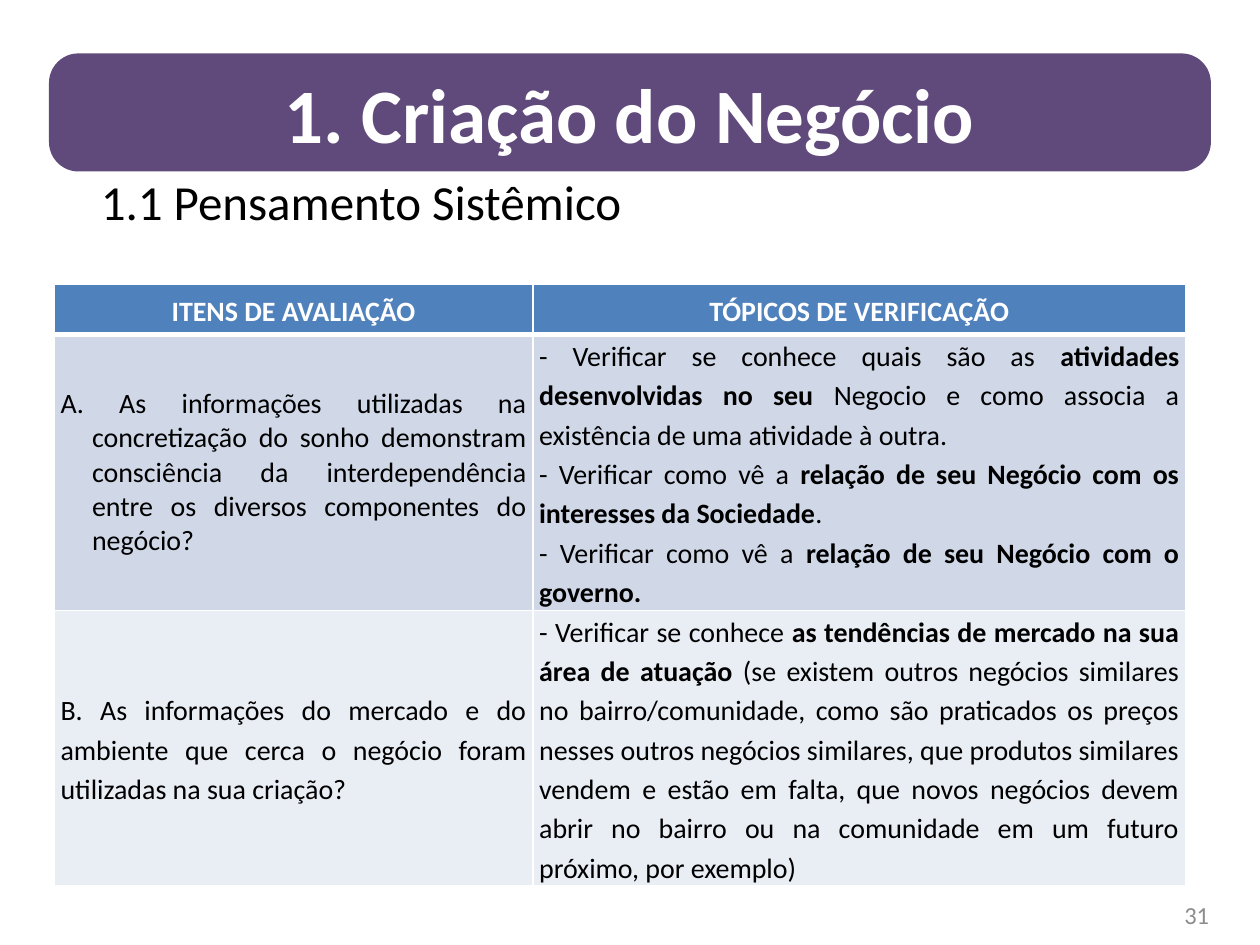
"""Builds the slide on business creation with its evaluation table."""
from pptx import Presentation
from pptx.dml.color import RGBColor
from pptx.enum.shapes import MSO_SHAPE
from pptx.enum.text import MSO_ANCHOR, PP_ALIGN
from pptx.oxml.ns import qn
from pptx.util import Pt
from lxml.etree import SubElement

FONT = "Calibri"
WHITE = RGBColor(0xFF, 0xFF, 0xFF)
BLACK = RGBColor(0x00, 0x00, 0x00)
GRAY = RGBColor(0x8C, 0x8C, 0x8C)
PURPLE = RGBColor(0x60, 0x4A, 0x7B)
BLUE = RGBColor(0x4F, 0x81, 0xBD)
LIGHT_BLUE = RGBColor(0xD0, 0xD8, 0xE8)
PALE_BLUE = RGBColor(0xE9, 0xED, 0xF4)

BANNER = "1. Criação do Negócio"
SUBTITLE = "1.1 Pensamento Sistêmico"
PAGE_NUMBER = "31"

HEADERS = ["ITENS DE AVALIAÇÃO", "TÓPICOS DE VERIFICAÇÃO"]
ITEM_A = (
    "A. As informações utilizadas na concretização do sonho demonstram "
    "consciência da interdependência entre os diversos componentes do negócio?"
)
ITEM_B = (
    "B. As informações do mercado e do ambiente que cerca o negócio foram "
    "utilizadas na sua criação?"
)
TOPICS_A = [
    [
        ("- Verificar se conhece quais são as ", False),
        ("atividades desenvolvidas no seu ", True),
        ("Negocio e como associa a existência de uma atividade à outra.", False),
    ],
    [
        ("- Verificar como vê a ", False),
        ("relação de seu Negócio com os interesses da Sociedade", True),
        (".", False),
    ],
    [
        ("- Verificar como vê a ", False),
        ("relação de seu Negócio com o governo.", True),
    ],
]
TOPICS_B = [
    [
        ("- Verificar se conhece ", False),
        ("as tendências de mercado na sua área de atuação ", True),
        (
            "(se existem outros negócios similares no bairro/comunidade, como são "
            "praticados os preços nesses outros negócios similares, que produtos "
            "similares vendem e estão em falta, que novos negócios devem abrir no "
            "bairro ou na comunidade em um futuro próximo, por exemplo)",
            False,
        ),
    ],
]
ROWS = [
    (BLUE, WHITE, PP_ALIGN.CENTER, [[[(header, True)]] for header in HEADERS]),
    (LIGHT_BLUE, BLACK, PP_ALIGN.JUSTIFY, [[[(ITEM_A, False)]], TOPICS_A]),
    (PALE_BLUE, BLACK, PP_ALIGN.JUSTIFY, [[[(ITEM_B, False)]], TOPICS_B]),
]
COLUMN_WIDTHS = [273.5, 373]
ROW_HEIGHTS = [29, 157.5, 157.5]


def add_run(paragraph, text, size, color, bold=False):
    run = paragraph.add_run()
    run.text = text
    run.font.name = FONT
    run.font.size = Pt(size)
    run.font.bold = bold
    run.font.color.rgb = color


def add_label(slide, box, text, size, color, alignment, anchor):
    frame = slide.shapes.add_textbox(*map(Pt, box)).text_frame
    frame.word_wrap = True
    frame.vertical_anchor = anchor
    frame.paragraphs[0].alignment = alignment
    add_run(frame.paragraphs[0], text, size, color)


def add_banner(slide):
    shape = slide.shapes.add_shape(
        MSO_SHAPE.ROUNDED_RECTANGLE, Pt(28), Pt(30.5), Pt(664), Pt(67.5)
    )
    shape.adjustments[0] = 0.25
    shape.shadow.inherit = False
    shape.fill.solid()
    shape.fill.fore_color.rgb = PURPLE
    shape.line.fill.background()
    shape.text_frame.word_wrap = True
    shape.text_frame.vertical_anchor = MSO_ANCHOR.MIDDLE
    paragraph = shape.text_frame.paragraphs[0]
    paragraph.alignment = PP_ALIGN.CENTER
    add_run(paragraph, BANNER, 44, WHITE, True)


def set_borders(cell, widths):
    properties = cell._tc.get_or_add_tcPr()
    for side, width in zip("LRTB", widths):
        line = SubElement(properties, qn(f"a:ln{side}"), w=str(Pt(width)))
        fill = SubElement(line, qn("a:solidFill"))
        SubElement(fill, qn("a:srgbClr"), val=str(WHITE))


def set_hanging_indent(paragraph):
    properties = paragraph._p.get_or_add_pPr()
    properties.set("marL", str(Pt(18)))
    properties.set("indent", str(Pt(-18)))
    tabs = SubElement(properties, qn("a:tabLst"))
    for position in (18, 35.5):
        SubElement(tabs, qn("a:tab"), pos=str(Pt(position)), algn="l")


def fill_cell(cell, paragraphs, color, alignment):
    cell.vertical_anchor = MSO_ANCHOR.MIDDLE
    cell.margin_left = cell.margin_right = Pt(3.6)
    cell.margin_top = cell.margin_bottom = 0
    frame = cell.text_frame
    for index, runs in enumerate(paragraphs):
        paragraph = frame.add_paragraph() if index else frame.paragraphs[0]
        paragraph.alignment = alignment
        if runs[0][0] == ITEM_A:
            set_hanging_indent(paragraph)
        else:
            paragraph.line_spacing = 1.15
        for text, bold in runs:
            add_run(paragraph, text, 16, color, bold)


def add_evaluation_table(slide):
    table = slide.shapes.add_table(
        len(ROWS), len(COLUMN_WIDTHS), Pt(31), Pt(162.25),
        Pt(sum(COLUMN_WIDTHS)), Pt(sum(ROW_HEIGHTS)),
    ).table
    for column, width in zip(table.columns, COLUMN_WIDTHS):
        column.width = Pt(width)
    for row_index, (background, color, alignment, contents) in enumerate(ROWS):
        table.rows[row_index].height = Pt(ROW_HEIGHTS[row_index])
        top = 3 if row_index == 1 else 1
        bottom = 3 if row_index == 0 else 1
        for column_index, paragraphs in enumerate(contents):
            cell = table.cell(row_index, column_index)
            set_borders(cell, (1, 1, top, bottom))
            cell.fill.solid()
            cell.fill.fore_color.rgb = background
            fill_cell(cell, paragraphs, color, alignment)


def main():
    presentation = Presentation()
    presentation.slide_width, presentation.slide_height = Pt(720), Pt(540)
    slide = presentation.slides.add_slide(presentation.slide_layouts[6])
    add_label(slide, (50.5, 94.5, 623.5, 90), SUBTITLE, 28, BLACK,
              PP_ALIGN.LEFT, MSO_ANCHOR.TOP)
    add_banner(slide)
    add_evaluation_table(slide)
    add_label(slide, (530, 508.5, 168, 28.75), PAGE_NUMBER, 14, GRAY,
              PP_ALIGN.RIGHT, MSO_ANCHOR.MIDDLE)
    presentation.save("out.pptx")


if __name__ == "__main__":
    main()
